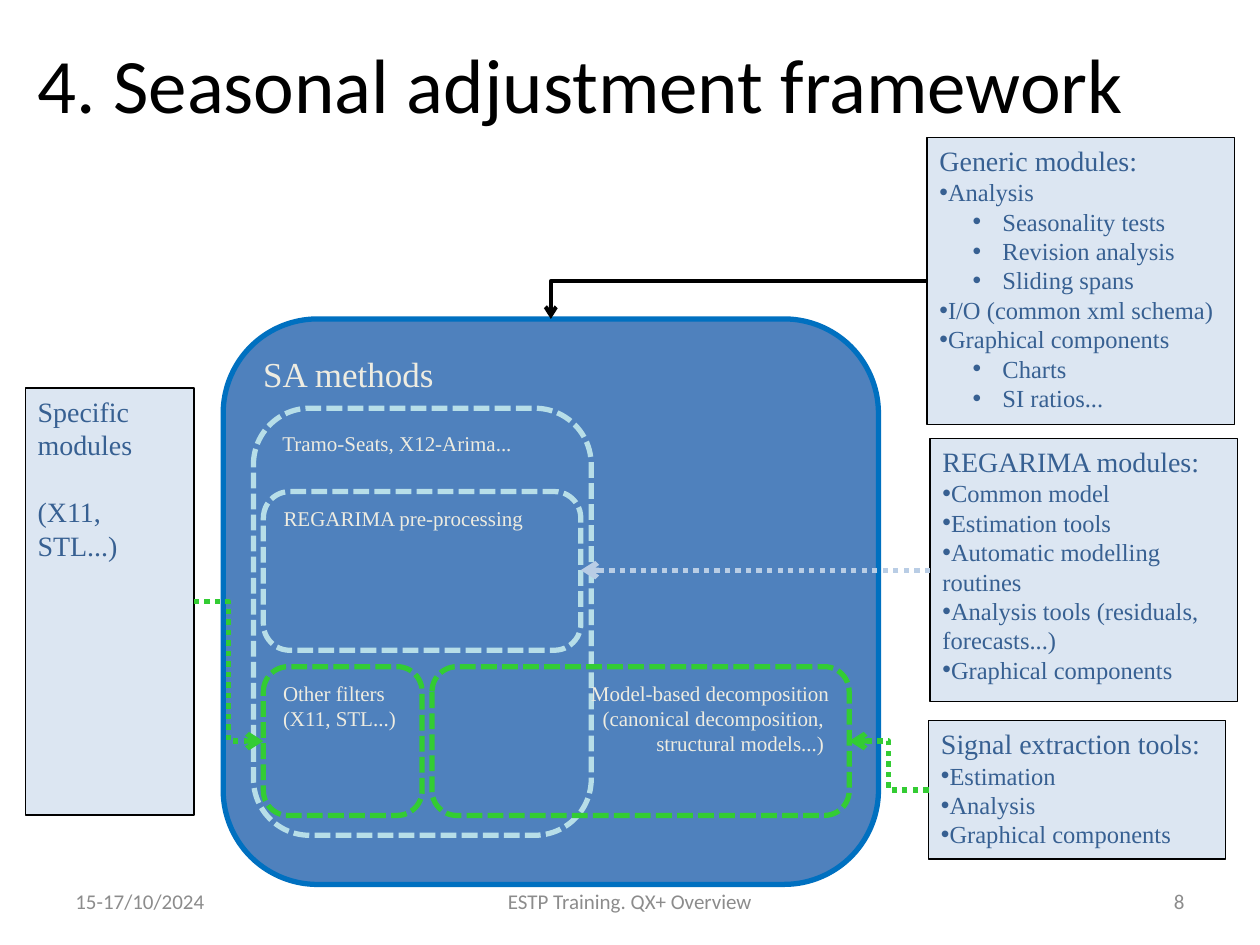
from lxml import etree
from pptx import Presentation
from pptx import util as u
from pptx.dml.color import RGBColor
from pptx.enum import dml, shapes, text
from pptx.oxml.ns import qn

BLACK = RGBColor(0x00, 0x00, 0x00)
GREY = RGBColor(0x8C, 0x8C, 0x8C)
CREAM = RGBColor(0xEE, 0xEC, 0xE1)
NAVY = RGBColor(0x37, 0x60, 0x92)
PALE = RGBColor(0xDC, 0xE6, 0xF2)
BLUE = RGBColor(0x4F, 0x81, 0xBD)
EDGE = RGBColor(0x00, 0x70, 0xC0)
AQUA = RGBColor(0xB7, 0xDE, 0xE8)
MIST = RGBColor(0xB9, 0xCD, 0xE5)
GREEN = RGBColor(0x33, 0xCC, 0x33)

SERIF, SANS = "Times New Roman", "Calibri"
LEFT, CENTER, RIGHT = text.PP_ALIGN.LEFT, text.PP_ALIGN.CENTER, text.PP_ALIGN.RIGHT
TOP, MIDDLE = text.MSO_ANCHOR.TOP, text.MSO_ANCHOR.MIDDLE
RECT, ROUND = shapes.MSO_SHAPE.RECTANGLE, shapes.MSO_SHAPE.ROUNDED_RECTANGLE
DASH, DOT = dml.MSO_LINE.SQUARE_DOT, dml.MSO_LINE.ROUND_DOT


def cm(*values):
    """Turn numbers in centimetres into lengths."""
    return [u.Cm(v) for v in values]


def write(tf, content, size=12, font=SERIF, color=CREAM, align=LEFT, level=None, gap=0):
    """Add one paragraph, bulleted when a level is given."""
    p = tf.paragraphs[0] if not tf.text else tf.add_paragraph()
    p.alignment = align
    p.space_before = u.Pt(gap)
    if level is not None:
        pPr = p._p.get_or_add_pPr()
        pPr.set("marL", str(u.Cm(1.27 * level)))
        pPr.set("indent", str(u.Cm(-0.6 * level)))
        etree.SubElement(pPr, qn("a:buFont")).set("typeface", "Arial")
        etree.SubElement(pPr, qn("a:buChar")).set("char", "•")
    r = p.add_run()
    r.text = content
    r.font.size, r.font.name = u.Pt(size), font
    r.font.color.rgb = color


def label(slide, box, content, **fmt):
    """Place one line of free text, centred vertically in its box."""
    tf = slide.shapes.add_textbox(*cm(*box)).text_frame
    tf.word_wrap = True
    tf.vertical_anchor = MIDDLE
    write(tf, content, font=SANS, **fmt)


def panel(slide, box, kind, line, width, fill=None, dash=None):
    """Draw an outlined box and return its text frame."""
    sp = slide.shapes.add_shape(kind, *cm(*box))
    sp.shadow.inherit = False
    if fill is None:
        sp.fill.background()
    else:
        sp.fill.solid()
        sp.fill.fore_color.rgb = fill
    sp.line.color.rgb, sp.line.width = line, u.Pt(width)
    if dash is not None:
        sp.line.dash_style = dash
    tf = sp.text_frame
    tf.word_wrap = True
    tf.vertical_anchor = TOP
    return tf


def module_box(slide, box, heading, items=()):
    """Draw a pale module box with a heading and (level, text) bullets."""
    tf = panel(slide, box, RECT, BLACK, 0.75, PALE)
    write(tf, heading, size=16, color=NAVY)
    for level, item in items:
        write(tf, item, size=14, color=NAVY, level=level)
    return tf


def methods_region(slide, box):
    """Draw the SA methods area and return the boxes of its inner parts."""
    x, y, w, h = box
    write(panel(slide, box, ROUND, EDGE, 3, BLUE), "SA methods", size=20)
    parts = {
        "tramo": ((0.61, 1.8, 6.81, 8.61), AQUA, LEFT, ["Tramo-Seats, X12-Arima..."]),
        "model": ((4.21, 7.01, 8.41, 3), GREEN, RIGHT,
                  ["Model-based decomposition", "(canonical decomposition, ",
                   "structural models...) "]),
        "filters": ((0.81, 7.01, 3.2, 3), GREEN, LEFT, ["Other filters (X11, STL...)"]),
        "regarima": ((0.81, 3.48, 6.4, 3.2), AQUA, LEFT, ["REGARIMA pre-processing"]),
    }
    placed = {}
    for name, ((dx, dy, pw, ph), color, align, lines) in parts.items():
        placed[name] = (x + dx, y + dy, pw, ph)
        tf = panel(slide, placed[name], ROUND, color, 3, dash=DASH)
        for line in lines:
            write(tf, line, align=align)
    return placed


def side(box, fx, fy=0.5):
    """Return the point at the given fractions of a box."""
    x, y, w, h = box
    return x + fx * w, y + fy * h


def arrow(slide, start, end, color, width=3, dash=DOT, preset="bentConnector3"):
    """Draw an arrow from start to end."""
    cn = slide.shapes.add_connector(shapes.MSO_CONNECTOR.ELBOW, *cm(*start, *end))
    cn.line.color.rgb, cn.line.width = color, u.Pt(width)
    if dash is not None:
        cn.line.dash_style = dash
    spPr = cn._element.spPr
    spPr.find(qn("a:prstGeom")).set("prst", preset)
    etree.SubElement(spPr.find(qn("a:ln")), qn("a:tailEnd")).set("type", "arrow")
    etree.SubElement(spPr, qn("a:effectLst"))


def footer(slide, box):
    """Place date, course name and slide number along a strip."""
    x, y, w, h = box
    label(slide, (x, y, 5.92, h), "15-17/10/2024", color=GREY)
    label(slide, (x + (w - 8.05) / 2, y, 8.05, h), "ESTP Training. QX+ Overview",
          color=GREY, align=CENTER)
    label(slide, (x + w - 5.92, y, 5.92, h), "8", color=GREY, align=RIGHT)


def main():
    """Build the slide and save it."""
    prs = Presentation()
    prs.slide_width, prs.slide_height = cm(25.4, 19.05)
    slide = prs.slides.add_slide(prs.slide_layouts[6])

    methods = (4.5, 6.43, 13.21, 11.4)
    generic = (18.69, 2.77, 6.2, 5.79)
    regarima = (18.75, 8.84, 6.2, 5.31)
    signal = (18.72, 14.53, 5.99, 2.79)
    specific = (0.51, 7.82, 3.4, 8.61)

    label(slide, (0.51, 0.08, 22.86, 3.18), "4. Seasonal adjustment framework",
          size=44, color=BLACK)
    parts = methods_region(slide, methods)
    module_box(slide, generic, "Generic modules:", [
        (0, "Analysis"), (1, "Seasonality tests"), (1, "Revision analysis"),
        (1, "Sliding spans"), (0, "I/O (common xml schema)"),
        (0, "Graphical components"), (1, "Charts"), (1, "SI ratios...")])
    module_box(slide, regarima, "REGARIMA modules:", [
        (0, "Common model"), (0, "Estimation tools"),
        (0, "Automatic modelling routines"),
        (0, "Analysis tools (residuals, forecasts...)"), (0, "Graphical components")])
    module_box(slide, signal, "Signal extraction tools:", [
        (0, "Estimation"), (0, "Analysis"), (0, "Graphical components")])
    tf = module_box(slide, specific, "Specific modules")
    write(tf, "(X11, STL...)", size=16, color=NAVY, gap=19)

    arrow(slide, side(generic, 0), side(methods, 0.5, 0), BLACK, 2.25, None,
          "bentConnector2")
    arrow(slide, side(signal, 0), side(parts["model"], 1), GREEN)
    arrow(slide, side(specific, 1), side(parts["filters"], 0), GREEN)
    _, level = side(regarima, 0)
    arrow(slide, (regarima[0], level), (side(parts["regarima"], 1)[0], level), MIST)
    footer(slide, (1.27, 17.65, 22.86, 1.02))
    prs.save("out.pptx")


if __name__ == "__main__":
    main()
